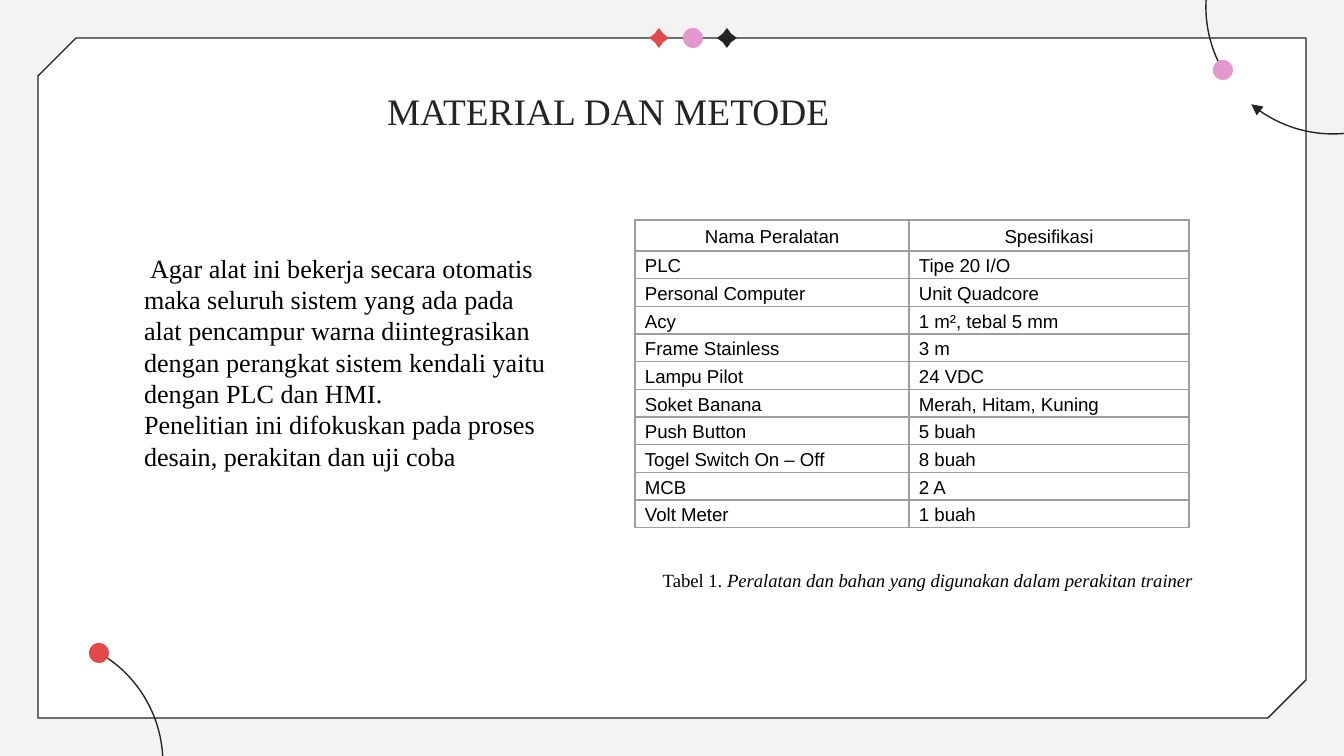
from lxml import etree
from pptx import Presentation
from pptx import util as u
from pptx.dml.color import RGBColor
from pptx.enum import shapes, text
from pptx.oxml import parse_xml
from pptx.oxml.ns import nsdecls, qn

PX = 914400 / 134.4
COLORS = {"page": "F3F3F3", "panel": "FFFFFF", "ink": "242424", "text": "000000",
          "red": "E44949", "pink": "E496CE", "grid": "9E9E9E"}
SERIF, SANS = "Times New Roman", "Arial"
KIND = shapes.MSO_SHAPE
ALIGN, ANCHOR = text.PP_ALIGN, text.MSO_ANCHOR
DOT = 20

TITLE = "MATERIAL DAN METODE"
DESCRIPTION = [
    "Agar alat ini bekerja secara otomatis maka seluruh sistem yang ada pada alat pencampur "
    "warna diintegrasikan dengan perangkat sistem kendali yaitu dengan PLC dan HMI.",
    "Penelitian ini difokuskan pada proses desain, perakitan dan uji coba",
]
EQUIPMENT = [
    ("Nama Peralatan", "Spesifikasi"),
    ("PLC", "Tipe 20 I/O"),
    ("Personal Computer", "Unit Quadcore"),
    ("Acy", "1 m², tebal 5 mm"),
    ("Frame Stainless", "3 m"),
    ("Lampu Pilot", "24 VDC"),
    ("Soket Banana", "Merah, Hitam, Kuning"),
    ("Push Button", "5 buah"),
    ("Togel Switch On – Off", "8 buah"),
    ("MCB", "2 A"),
    ("Volt Meter", "1 buah"),
]


def px(length):
    return u.Emu(round(length * PX))


def rgb(name):
    return RGBColor.from_string(COLORS[name])


def place(item, box):
    item.left, item.top, item.width, item.height = map(px, box)


def write(paragraph, *runs, font=SERIF, size=10, color="text", align=ALIGN.LEFT, spacing=1.0):
    """Fill a paragraph with runs; a run given as (text, True) is italic."""
    paragraph.alignment = align
    paragraph.line_spacing = spacing
    paragraph.space_before = u.Pt(0)
    for run in runs:
        words, italic = run if isinstance(run, tuple) else (run, False)
        part = paragraph.add_run()
        part.text = words
        part.font.name, part.font.size = font, u.Pt(size)
        part.font.bold, part.font.italic = False, italic
        part.font.color.rgb = rgb(color)


def prepare(frame, anchor=ANCHOR.TOP, side=13, edge=7):
    frame.word_wrap = True
    frame.auto_size = text.MSO_AUTO_SIZE.NONE
    frame.vertical_anchor = anchor
    frame.margin_left = frame.margin_right = px(side)
    frame.margin_top = frame.margin_bottom = px(edge)


def add_shape(slide, kind, box, fill=None, line=None, adjust=()):
    shape = slide.shapes.add_shape(kind, *map(px, box))
    shape.shadow.inherit = False
    for index, value in enumerate(adjust):
        shape.adjustments[index] = value
    if fill:
        shape.fill.solid()
        shape.fill.fore_color.rgb = rgb(fill)
    else:
        shape.fill.background()
    if line:
        shape.line.color.rgb = rgb(line)
        shape.line.width = u.Pt(0.75)
    else:
        shape.line.fill.background()
    return shape


def add_marker(slide, kind, x, y, fill):
    """Small ornament centred on a point."""
    adjust = (0.303,) if kind == KIND.STAR_4_POINT else ()
    add_shape(slide, kind, (x - DOT / 2, y - DOT / 2, DOT, DOT), fill, adjust=adjust)


def add_orbit(slide, box, start, end, dot, fill, arrow=False):
    """Arc clockwise between two angles in degrees, with a dot offset from the box corner."""
    left, top = box[:2]
    arc = add_shape(slide, KIND.ARC, box, line="ink", adjust=(start * 0.6, end * 0.6))
    if arrow:
        etree.SubElement(arc.line._get_or_add_ln(), qn("a:tailEnd"), type="triangle")
    add_marker(slide, KIND.OVAL, left + dot[0], top + dot[1], fill)


def add_frame(slide, box):
    left, top, width, _ = box
    add_shape(slide, KIND.SNIP_2_DIAG_RECTANGLE, box, "panel", "ink", adjust=(0.056, 0))
    ornaments = [(KIND.STAR_4_POINT, "red"), (KIND.OVAL, "pink"), (KIND.STAR_4_POINT, "ink")]
    for index, (kind, fill) in enumerate(ornaments):
        add_marker(slide, kind, left + 621 + index * 34, top, fill)
    add_orbit(slide, (left + 1168, top - 158, 254, 254), 150, 130, (17, 190), "pink", arrow=True)
    add_orbit(slide, (left - 129, top + 598, 254, 254), 300, 20, (190, 17), "red")


def add_title(slide, box):
    title = slide.shapes.title
    place(title, box)
    prepare(title.text_frame, ANCHOR.BOTTOM, edge=13)
    write(title.text_frame.paragraphs[0], TITLE, size=20, color="ink")


def add_description(slide, box):
    body = slide.placeholders[1]
    place(body, box)
    frame = body.text_frame
    prepare(frame)
    for index, words in enumerate(DESCRIPTION):
        paragraph = frame.add_paragraph() if index else frame.paragraphs[0]
        properties = paragraph._p.get_or_add_pPr()
        properties.set("marL", "0")
        properties.set("indent", "0" if index else str(px(6)))
        etree.SubElement(properties, qn("a:buNone"))
        write(paragraph, words, size=14)


def add_borders(cell):
    properties = cell._tc.get_or_add_tcPr()
    for position, side in enumerate(("lnL", "lnR", "lnT", "lnB")):
        properties.insert(position, parse_xml(
            f'<a:{side} {nsdecls("a")} w="{u.Pt(0.75)}"><a:solidFill>'
            f'<a:srgbClr val="{COLORS["grid"]}"/></a:solidFill></a:{side}>'))


def add_equipment(slide, box):
    left, top, width, height = box
    header = 31
    table = slide.shapes.add_table(len(EQUIPMENT), 2, *map(px, box)).table
    table.first_row = table.horz_banding = False
    table.columns[0].width, table.columns[1].width = px(274), px(width - 274)
    for r, entries in enumerate(EQUIPMENT):
        table.rows[r].height = px((height - header) / (len(EQUIPMENT) - 1) if r else header)
        for c, words in enumerate(entries):
            cell = table.cell(r, c)
            cell.fill.background()
            cell.vertical_anchor = ANCHOR.MIDDLE
            cell.margin_left = cell.margin_right = px(10)
            cell.margin_top = cell.margin_bottom = 0
            write(cell.text_frame.paragraphs[0], words, font=SANS, spacing=1.15,
                  align=ALIGN.LEFT if r else ALIGN.CENTER)
            add_borders(cell)


def add_caption(slide, box):
    frame = slide.shapes.add_textbox(*map(px, box)).text_frame
    prepare(frame)
    write(frame.paragraphs[0], "Tabel 1. ",
          ("Peralatan dan bahan yang digunakan dalam perakitan trainer", True),
          align=ALIGN.CENTER, spacing=1.15)


def main():
    deck = Presentation()
    deck.slide_width, deck.slide_height = px(1344), px(756)
    slide = deck.slides.add_slide(deck.slide_layouts[1])
    slide.background.fill.solid()
    slide.background.fill.fore_color.rgb = rgb("page")
    add_frame(slide, (38, 38, 1268, 680))
    add_title(slide, (374, 44, 1008, 102))
    add_description(slide, (131, 245, 433, 267))
    add_equipment(slide, (635, 220, 554, 308))
    add_caption(slide, (601, 559, 653, 38))
    # Text placeholders come first in the tree, so lift them above the panel.
    for placeholder in list(slide.placeholders):
        slide.shapes._spTree.append(placeholder._element)
    deck.save("out.pptx")


if __name__ == "__main__":
    main()
